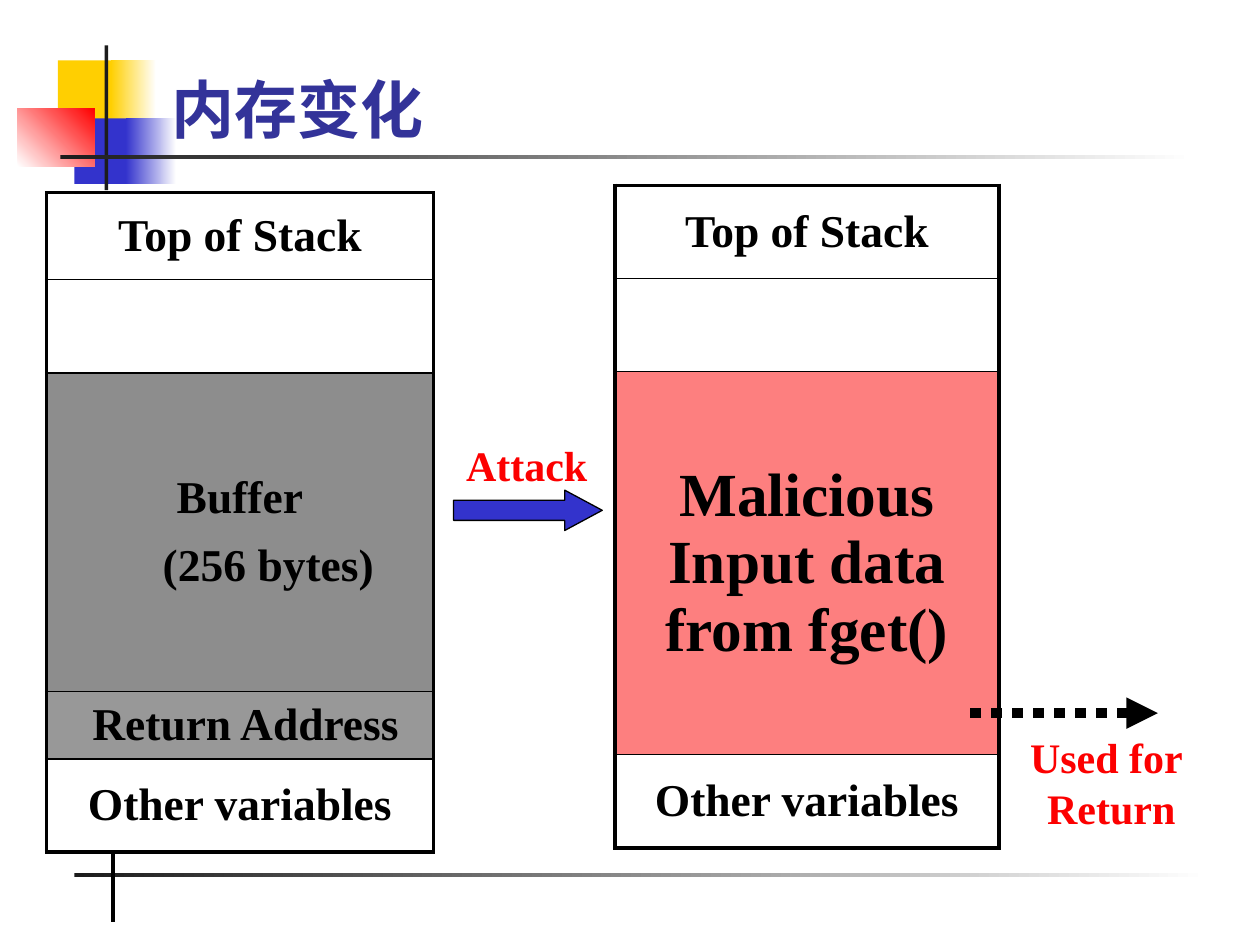
import pptx
import pptx.util
import pptx.dml.color
import pptx.enum.dml
import pptx.enum.shapes
import pptx.enum.text
import pptx.oxml
import pptx.oxml.ns

Inches = pptx.util.Inches
Pt = pptx.util.Pt
SHAPE = pptx.enum.shapes.MSO_SHAPE
ALIGN = pptx.enum.text.PP_ALIGN
ANCHOR = pptx.enum.text.MSO_ANCHOR
qn = pptx.oxml.ns.qn

COLORS = {
    "white": "FFFFFF", "black": "000000", "ink": "1C1C1C", "slate": "333333",
    "yellow": "FFCF01", "blue": "3333CC", "red": "FF0000",
    "alert": "FC0000", "title": "333399",
}


def rgb(name):
    return pptx.dml.color.RGBColor.from_string(COLORS[name])


def add_xml(parent, tag, **attributes):
    child = parent.makeelement(qn(tag), attributes)
    parent.append(child)
    return child


class SlideBuilder:
    font = "Times New Roman"
    outer, inner = 2.25, 1

    def __init__(self, slide):
        self.shapes = slide.shapes

    def set_text(self, tf, lines, size, color, align=ALIGN.CENTER, gap=0, indent=0):
        tf.text = "\n".join(lines)
        for i, p in enumerate(tf.paragraphs):
            p.alignment = align
            if i:
                p.space_before = Pt(gap)
            if indent and i == len(lines) - 1:
                p._p.get_or_add_pPr().set("marL", str(Inches(indent)))
            for r in p.runs:
                r.font.name = self.font
                r.font.size = Pt(size)
                r.font.bold = True
                r.font.color.rgb = rgb(color)

    def text(self, box, lines, size, color, align=ALIGN.CENTER, anchor=ANCHOR.TOP, wrap=False):
        tf = self.shapes.add_textbox(*map(Inches, box)).text_frame
        tf.word_wrap = wrap
        tf.vertical_anchor = anchor
        self.set_text(tf, lines, size, color, align)

    def shape(self, box, *fill, angle=0, kind=SHAPE.RECTANGLE, outline=None):
        sp = self.shapes.add_shape(kind, *map(Inches, box))
        sp.shadow.inherit = False
        if len(fill) == 2:
            sp.fill.gradient()
            sp.fill.gradient_angle = angle
            for stop, color in zip(sp.fill.gradient_stops, fill):
                stop.color.rgb = rgb(color)
        else:
            sp.fill.solid()
            sp.fill.fore_color.rgb = rgb(fill[0])
        if outline:
            sp.line.color.rgb = rgb("black")
            sp.line.width = Pt(outline)
        else:
            sp.line.fill.background()
        return sp

    def line(self, x1, y1, x2, y2, width, dash=None, arrow=False):
        cx = self.shapes.add_connector(
            pptx.enum.shapes.MSO_CONNECTOR.STRAIGHT, *map(Inches, (x1, y1, x2, y2)))
        cx.line.color.rgb = rgb("black")
        cx.line.width = Pt(width)
        if dash:
            cx.line.dash_style = dash
        spPr = cx._element.spPr
        if arrow:
            add_xml(spPr.find(qn("a:ln")), "a:tailEnd", type="triangle")
        add_xml(spPr, "a:effectLst")

    def border(self, cell, side, width):
        ln = add_xml(cell._tc.get_or_add_tcPr(), f"a:ln{side}", w=str(Pt(width)))
        add_xml(add_xml(ln, "a:solidFill"), "a:srgbClr", val=COLORS["black"])

    def stack(self, left, top, width, rows):
        height = sum(row["height"] for row in rows)
        table = self.shapes.add_table(
            len(rows), 1, *map(Inches, (left, top, width, height))).table
        table.first_row = table.horz_banding = False
        for i, row in enumerate(rows):
            table.rows[i].height = Inches(row["height"])
            cell = table.cell(i, 0)
            cell.vertical_anchor = ANCHOR.MIDDLE
            self.border(cell, "L", self.outer)
            self.border(cell, "R", self.outer)
            self.border(cell, "T", self.inner if i else self.outer)
            self.border(cell, "B", self.inner if i < len(rows) - 1 else self.outer)
            if "fill" in row:
                cell.fill.solid()
                cell.fill.fore_color.rgb = rgb(row["fill"])
                color = cell._tc.tcPr.find(qn("a:solidFill")).find(qn("a:srgbClr"))
                add_xml(color, "a:alpha", val="50000")
            else:
                cell.fill.background()
            if "lines" in row:
                self.set_text(cell.text_frame, row["lines"], row.get("size", 26), "black",
                              gap=10.4, indent=row.get("indent", 0))


def main():
    prs = pptx.Presentation()
    prs.slide_width, prs.slide_height = Inches(10), Inches(7.5)
    s = SlideBuilder(prs.slides.add_slide(prs.slide_layouts[6]))

    s.shape((0.46, 0.48, 0.48, 0.52), "yellow")
    s.shape((0.88, 0.48, 0.36, 0.52), "yellow", "white")
    s.shape((0.59, 0.94, 0.46, 0.52), "blue")
    s.shape((1, 0.94, 0.4, 0.52), "blue", "white")
    s.shape((0.14, 0.86, 0.61, 0.46), "white", "red", angle=45)
    s.shape((0.83, 0.36, 0.03, 1.15), "ink")
    for left, top in ((0.48, 1.23), (0.59, 6.93)):
        s.shape((left, top, 9, 0.03), "ink", "white")
    s.line(0.9, 6.77, 0.9, 7.32, 2.25)

    s.text((1.26, 0.16, 8.52, 1.05), ["内存变化"], 36, "title",
           ALIGN.LEFT, ANCHOR.BOTTOM, wrap=True)

    empty = {"height": 0.74}
    other = {"height": 0.74, "lines": ["Other variables"]}
    s.stack(0.37, 1.53, 3.07, [
        {"height": 0.69, "lines": ["Top of Stack"]},
        empty,
        {"height": 2.53, "lines": ["Buffer", "(256 bytes)"], "fill": "ink", "indent": 0.45},
        {"height": 0.47, "lines": ["Return Address"], "fill": "slate", "indent": 0.09},
        other,
    ])
    s.stack(4.88, 1.47, 3.05, [
        {"height": 0.74, "lines": ["Top of Stack"]},
        empty,
        {"height": 3.04, "lines": ["Malicious Input data from fget()"],
         "fill": "alert", "size": 35},
        other,
    ])

    arrow = s.shape((3.6, 3.89, 1.18, 0.32), "blue", kind=SHAPE.RIGHT_ARROW, outline=0.75)
    arrow.adjustments[0] = 0.5
    arrow.adjustments[1] = 0.93
    s.text((3.6, 3.44, 1.16, 0.5), ["Attack"], 24, "alert")
    s.line(7.7, 5.66, 9.19, 5.66, 6, pptx.enum.dml.MSO_LINE.ROUND_DOT, arrow=True)
    s.text((8.07, 5.76, 1.5, 0.9), ["Used for ", "Return"], 24, "alert")

    prs.save("out.pptx")


if __name__ == "__main__":
    main()
